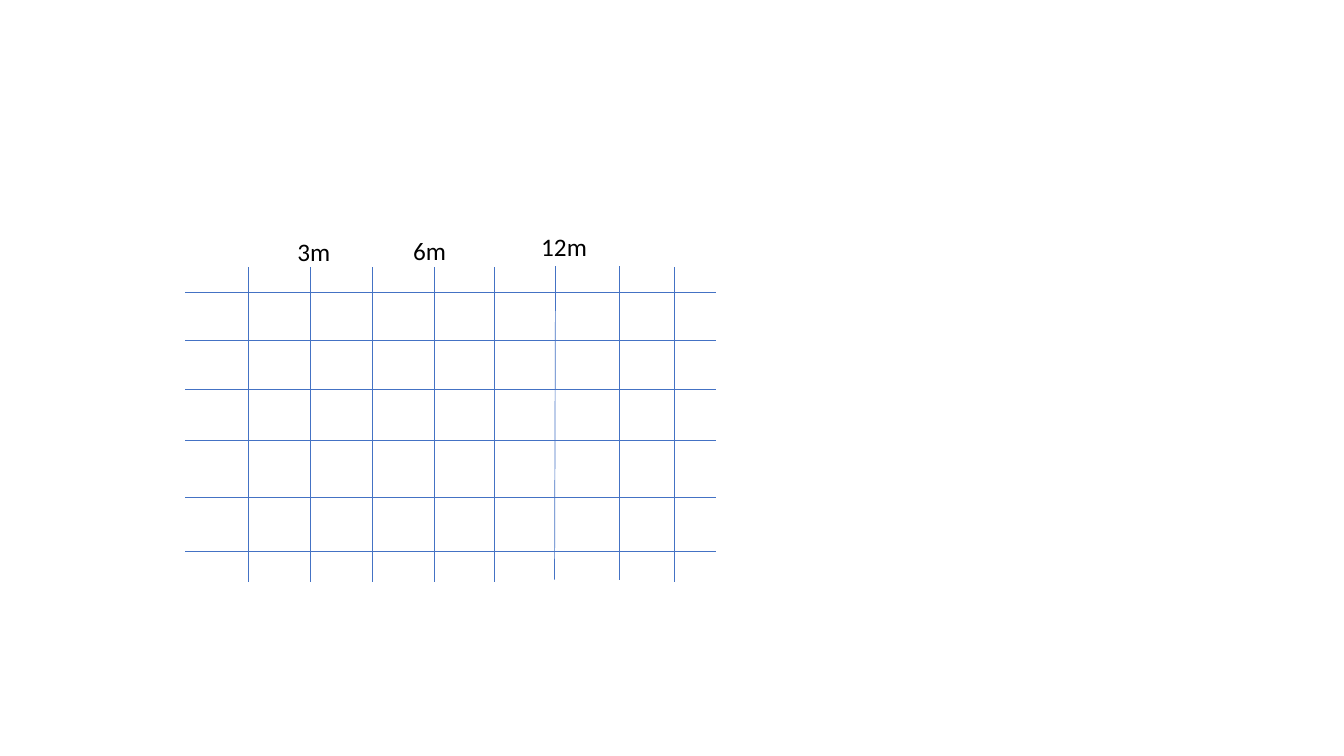
"""Draw a grid of thin blue lines with month labels above three of its columns."""
from dataclasses import dataclass

from lxml import etree
from pptx import Presentation
from pptx import util as u
from pptx.dml.color import RGBColor
from pptx.enum import shapes, text
from pptx.oxml import ns

PX = 9144
COLORS = {"grid": "4472C4", "label": "000000"}
LABEL_HEIGHT = 40
GRID_LEFT, GRID_RIGHT = 184, 710
ROWS = (290, 338, 386, 437, 493, 547)


@dataclass(frozen=True)
class GridLine:
    x1: int
    y1: int
    x2: int
    y2: int


@dataclass(frozen=True)
class MonthLabel:
    wording: str
    left: int
    top: int
    width: int


COLUMNS = [GridLine(x, 577, x, 265) for x in (246, 308, 369, 431, 490)] + [
    GridLine(550, 575, 551, 264),
    GridLine(614, 575, 614, 264),
    GridLine(669, 577, 669, 265),
]
MONTHS = (
    MonthLabel("3m", 285, 230, 59),
    MonthLabel("6m", 400, 229, 59),
    MonthLabel("12m", 527, 225, 70),
)


def px(length: int) -> u.Emu:
    return u.Emu(length * PX)


def draw_line(slide, line: GridLine) -> None:
    connector = slide.shapes.add_connector(
        shapes.MSO_CONNECTOR.STRAIGHT,
        px(line.x1), px(line.y1), px(line.x2), px(line.y2),
    )
    connector.line.color.rgb = RGBColor.from_string(COLORS["grid"])
    connector.line.width = u.Pt(0.5)
    etree.SubElement(connector._element.spPr, ns.qn("a:effectLst"))


def write(frame, wording: str, *, size: int = 18, font: str = "Calibri",
          color: str = "label") -> None:
    run = frame.paragraphs[0].add_run()
    run.text = wording
    run.font.size = u.Pt(size)
    run.font.name = font
    run.font.color.rgb = RGBColor.from_string(COLORS[color])


def draw_label(slide, month: MonthLabel) -> None:
    box = slide.shapes.add_textbox(
        px(month.left), px(month.top), px(month.width), px(LABEL_HEIGHT)
    )
    frame = box.text_frame
    frame.word_wrap = True
    frame.auto_size = text.MSO_AUTO_SIZE.SHAPE_TO_FIT_TEXT
    write(frame, month.wording)


def main() -> None:
    deck = Presentation()
    deck.slide_width, deck.slide_height = px(1333), px(750)
    slide = deck.slides.add_slide(deck.slide_layouts[6])
    rows = [GridLine(GRID_LEFT, y, GRID_RIGHT, y) for y in ROWS]
    for line in rows + COLUMNS:
        draw_line(slide, line)
    for month in MONTHS:
        draw_label(slide, month)
    deck.save("out.pptx")


if __name__ == "__main__":
    main()
